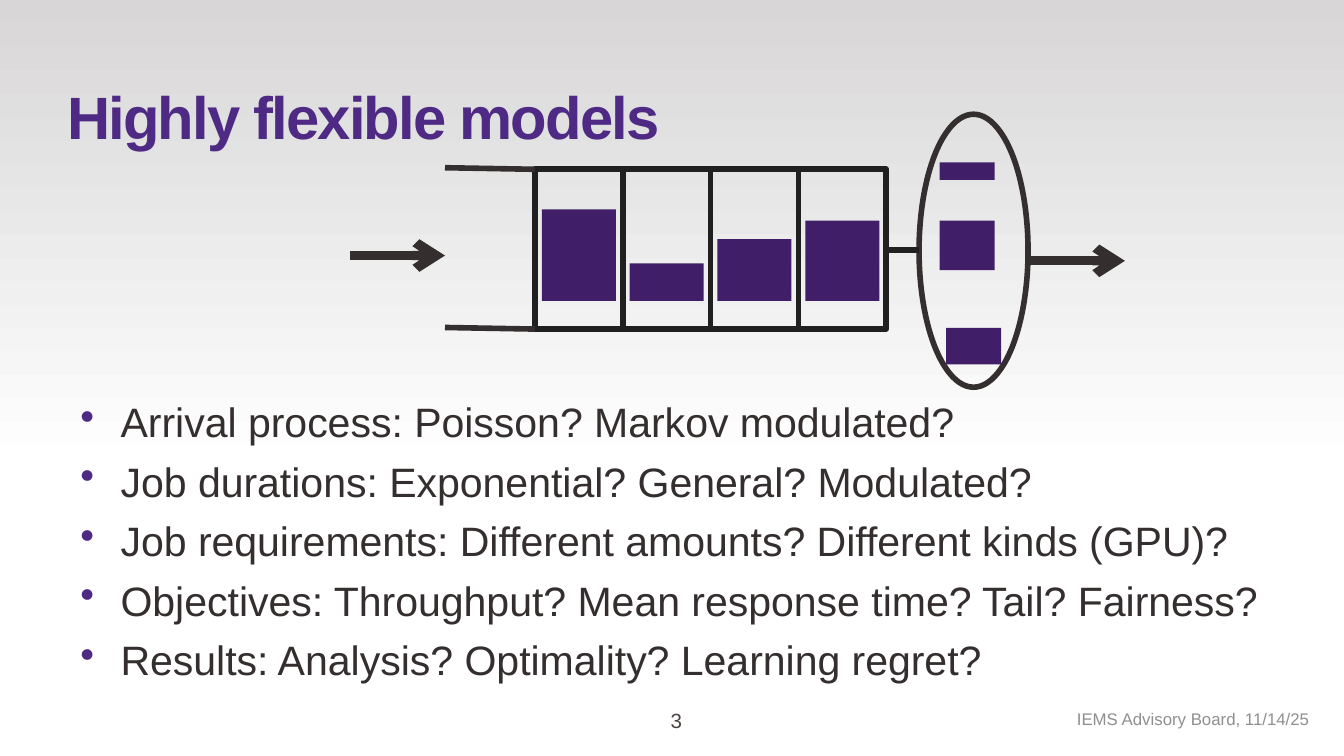
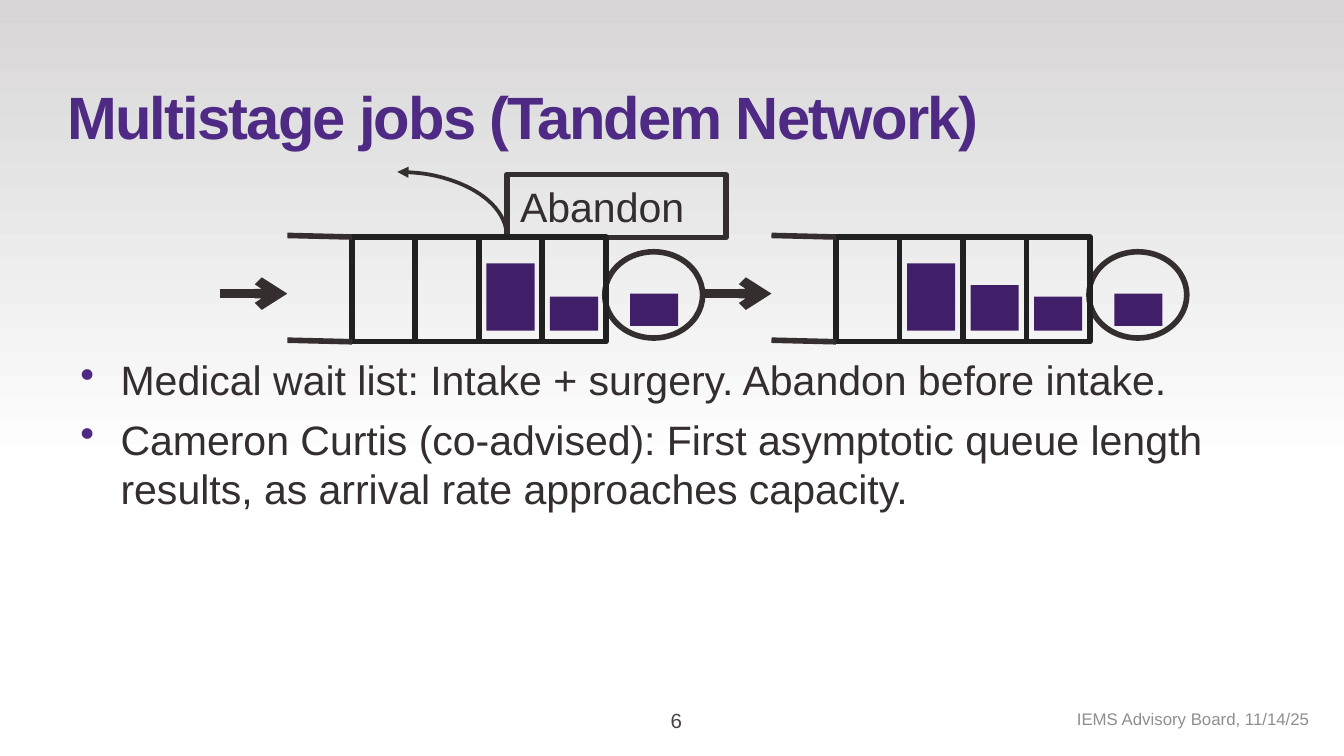
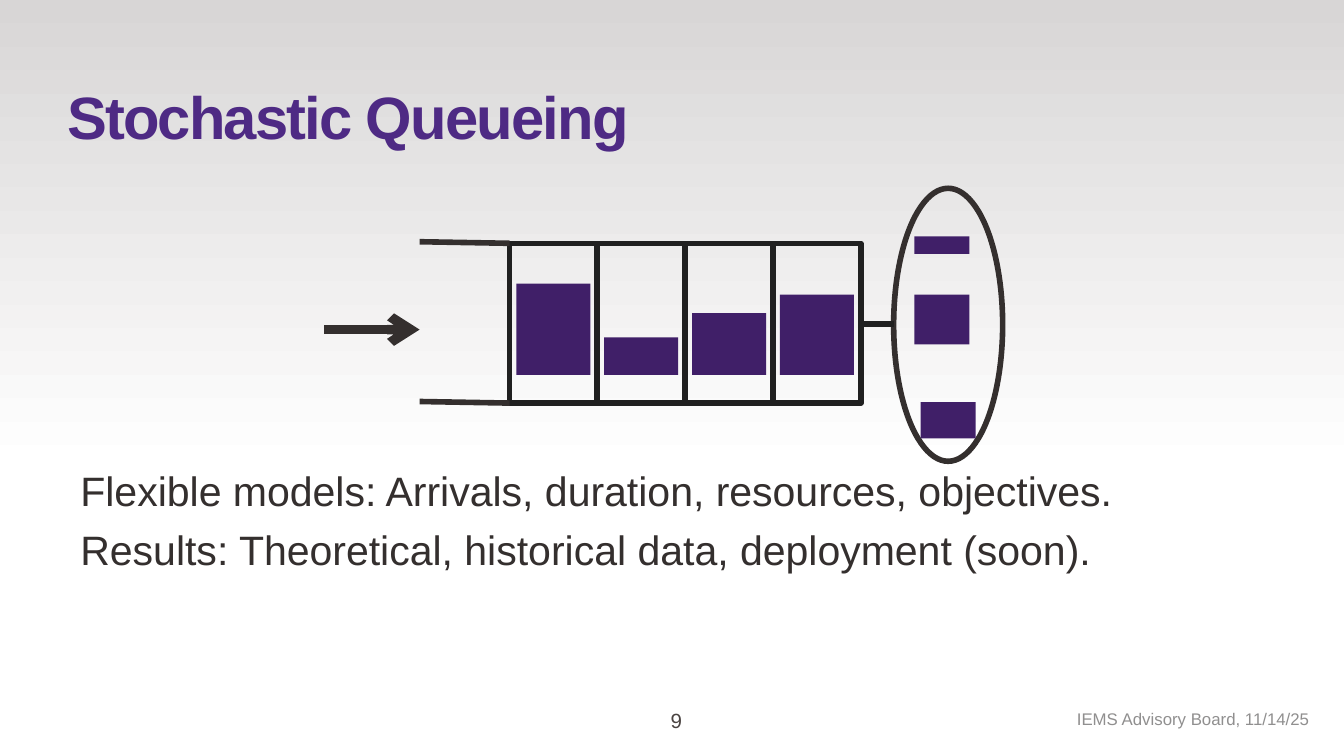
from lxml.etree import SubElement
from pptx import Presentation
from pptx.dml.color import RGBColor
from pptx.enum.shapes import MSO_CONNECTOR, MSO_SHAPE
from pptx.enum.text import MSO_ANCHOR, PP_ALIGN
from pptx.oxml.ns import qn
from pptx.util import Cm, Pt

# Shared look
FONT = "Arial"
PURPLE, JOB_PURPLE = "4E2A84", "401F68"
INK, SLOT_BLACK = "342F2E", "202020"
FOOTER_GREY, PAGE_GREY = "908F8F", "4A4341"
BAND_STOPS = ["FFFFFF", "D8D6D6"]
FOOTER = "IEMS Advisory Board, 11/14/25"
SLOTS = 4

rgb = RGBColor.from_string


def add_text(slide, text, box, size=22, color=INK, bold=False, align=PP_ALIGN.LEFT,
             anchor=MSO_ANCHOR.TOP, inset=(0.25, 0.13, 0.25, 0.13), bullet=False,
             gap=0, line_spacing=None, tracking=None, border=None):
    """Write one paragraph per line of text; box is left, top, width, height in cm."""
    holder = slide.shapes.add_textbox(*map(Cm, box))
    if border:
        holder.line.color.rgb = rgb(border)
        holder.line.width = Pt(3)
    frame = holder.text_frame
    frame.word_wrap = True
    frame.vertical_anchor = anchor
    (frame.margin_left, frame.margin_top,
     frame.margin_right, frame.margin_bottom) = map(Cm, inset)
    for i, line in enumerate(text.split("\n")):
        paragraph = frame.add_paragraph() if i else frame.paragraphs[0]
        if bullet:
            props = paragraph._p.get_or_add_pPr()
            props.set("marL", str(Cm(0.76)))
            props.set("indent", str(-Cm(0.76)))
            bullet_color = SubElement(props, qn("a:buClr"))
            SubElement(bullet_color, qn("a:srgbClr"), val=PURPLE)
            SubElement(props, qn("a:buChar"), char="•")
        paragraph.alignment = align
        if line_spacing:
            paragraph.line_spacing = line_spacing
        if i:
            paragraph.space_before = Pt(gap)
        run = paragraph.add_run()
        run.text = line
        run.font.name, run.font.size, run.font.bold = FONT, Pt(size), bold
        run.font.color.rgb = rgb(color)
        if tracking:
            run._r.get_or_add_rPr().set("spc", str(tracking))


def draw(slide, kind, box, fill=None, line=None, width=3, head=None, tail=None):
    """Draw a preset shape, or a line from (x1, y1) to (x2, y2) if kind is None."""
    if kind is None:
        item = slide.shapes.add_connector(MSO_CONNECTOR.STRAIGHT, *map(Cm, box))
        SubElement(item._element.spPr, qn("a:effectLst"))
    else:
        item = slide.shapes.add_shape(kind, *map(Cm, box))
        item.shadow.inherit = False
        if fill:
            item.fill.solid()
            item.fill.fore_color.rgb = rgb(fill)
        else:
            item.fill.background()
    if line:
        item.line.color.rgb = rgb(line)
        item.line.width = Pt(width)
    else:
        item.line.fill.background()
    for end, style in (("a:headEnd", head), ("a:tailEnd", tail)):
        if style:
            SubElement(item.line._get_or_add_ln(), qn(end), type=style)
    return item


# Queue types, in cm from the top left corner of the first slot
MULTISERVER = dict(
    slot=(1.66, 3.02), job_width=1.4, job_bottom=2.49, rail=1.7,
    arrow=(-3.5, 1.63, -1.7, 1.63), server=(7.26, -1.04, 2.06, 5.16),
    in_service=[(7.65, -0.13, 1.04, 0.33), (7.65, 0.97, 1.04, 0.94),
                (7.77, 3, 1.04, 0.69)],
    link=(6.63, 1.52, 7.26, 1.52))
SINGLE_SERVER = dict(
    slot=(1.2, 1.98), job_width=0.91, job_bottom=1.77, rail=1.22,
    arrow=(-2.5, 1.07, -1.22, 1.07), server=(4.78, 0.28, 1.85, 1.63),
    in_service=[(5.26, 1.07, 0.91, 0.61)], link=None)
MIXED_JOBS = [1.73, 0.71, 1.17, 1.52]

# Each queue: type, corner of its first slot, job height per slot
SLIDES = [
    dict(title="Highly flexible models", page=3, bullet=True,
         body_box=(1.27, 7.37, 23.32, 6.5),
         body=["Arrival process: Poisson? Markov modulated?",
               "Job durations: Exponential? General? Modulated?",
               "Job requirements: Different amounts? Different kinds (GPU)?",
               "Objectives: Throughput? Mean response time? Tail? Fairness?",
               "Results: Analysis? Optimality? Learning regret?"],
         queues=[(MULTISERVER, (10.11, 3.2), MIXED_JOBS)],
         departure=(19.46, 4.93, 21.26, 4.93)),
    dict(title="Multistage jobs (Tandem Network)", page=6, bullet=True,
         body_box=(1.27, 6.58, 23.32, 5.94),
         body=["Medical wait list: Intake + surgery. Abandon before intake.",
               "Cameron Curtis (co-advised): First asymptotic queue length "
               "results, as arrival rate approaches capacity."],
         queues=[(SINGLE_SERVER, (6.65, 4.48), [0, 0, 1.27, 0.64]),
                 (SINGLE_SERVER, (15.8, 4.48), [0, 1.27, 0.86, 0.64])],
         abandon="Abandon"),
    dict(title="Stochastic Queueing", page=9, bullet=False,
         body_box=(1.27, 8.66, 23.32, 3.89),
         body=["Flexible models: Arrivals, duration, resources, objectives.",
               "Results: Theoretical, historical data, deployment (soon)."],
         queues=[(MULTISERVER, (9.63, 4.6), MIXED_JOBS)]),
]

prs = Presentation()
prs.slide_width, prs.slide_height = Cm(25.4), Cm(14.29)

for content in SLIDES:
    slide = prs.slides.add_slide(prs.slide_layouts[6])

    # Gradient band, white at its lower edge
    band = draw(slide, MSO_SHAPE.RECTANGLE, (0, 0, 25.4, 8.86))
    band.fill.gradient()
    band.fill.gradient_angle = 90
    for position, (stop, color) in enumerate(zip(band.fill.gradient_stops, BAND_STOPS)):
        stop.position = position
        stop.color.rgb = rgb(color)

    # Title, body and footer
    add_text(slide, content["title"], (1.27, 0.58, 23.32, 2.29), size=32, color=PURPLE,
             bold=True, anchor=MSO_ANCHOR.BOTTOM, inset=(0, 0, 0, 0),
             line_spacing=0.85, tracking=-100)
    add_text(slide, "\n".join(content["body"]), content["body_box"],
             bullet=content["bullet"], gap=5.5)
    add_text(slide, FOOTER, (15.95, 13.21, 9.04, 0.76), size=9, color=FOOTER_GREY,
             align=PP_ALIGN.RIGHT, anchor=MSO_ANCHOR.MIDDLE)
    add_text(slide, str(content["page"]), (12.34, 13.23, 0.94, 0.76), size=11,
             color=PAGE_GREY, align=PP_ALIGN.CENTER, anchor=MSO_ANCHOR.MIDDLE,
             inset=(0.08, 0.13, 0.13, 0.13))

    # Jobs that abandon the first queue
    if "abandon" in content:
        draw(slide, MSO_SHAPE.ARC, (5.44, 3.25, 4.14, 2.44), line=INK, width=2,
             head="triangle")
        add_text(slide, content["abandon"], (9.58, 3.3, 4.14, 1.19), border=INK)

    for queue, (x, y), jobs in content["queues"]:
        slot_width, slot_height = queue["slot"]

        # Server, slots and open end of the queue
        left, top, width, height = queue["server"]
        draw(slide, MSO_SHAPE.OVAL, (x + left, y + top, width, height), line=INK)
        for i in range(SLOTS):
            draw(slide, MSO_SHAPE.RECTANGLE,
                 (x + i * slot_width, y, slot_width, slot_height), line=SLOT_BLACK)
        for rail_y in (y, y + slot_height):
            draw(slide, None, (x - queue["rail"], rail_y - 0.03, x, rail_y), line=INK)

        # Waiting jobs, centred in their slots, then jobs in service
        job_width = queue["job_width"]
        margin = (slot_width - job_width) / 2
        for i, job_height in enumerate(jobs):
            if job_height:
                draw(slide, MSO_SHAPE.RECTANGLE,
                     (x + i * slot_width + margin, y + queue["job_bottom"] - job_height,
                      job_width, job_height), fill=JOB_PURPLE)
        for left, top, width, height in queue["in_service"]:
            draw(slide, MSO_SHAPE.RECTANGLE, (x + left, y + top, width, height),
                 fill=JOB_PURPLE)

        # Arrivals, and the link to the server
        x1, y1, x2, y2 = queue["arrow"]
        draw(slide, None, (x + x1, y + y1, x + x2, y + y2), line=INK, width=5,
             tail="arrow")
        if queue["link"]:
            x1, y1, x2, y2 = queue["link"]
            draw(slide, None, (x + x1, y + y1, x + x2, y + y2), line=SLOT_BLACK)

    # Departures
    if "departure" in content:
        draw(slide, None, content["departure"], line=INK, width=5, tail="arrow")

prs.save("out.pptx")
